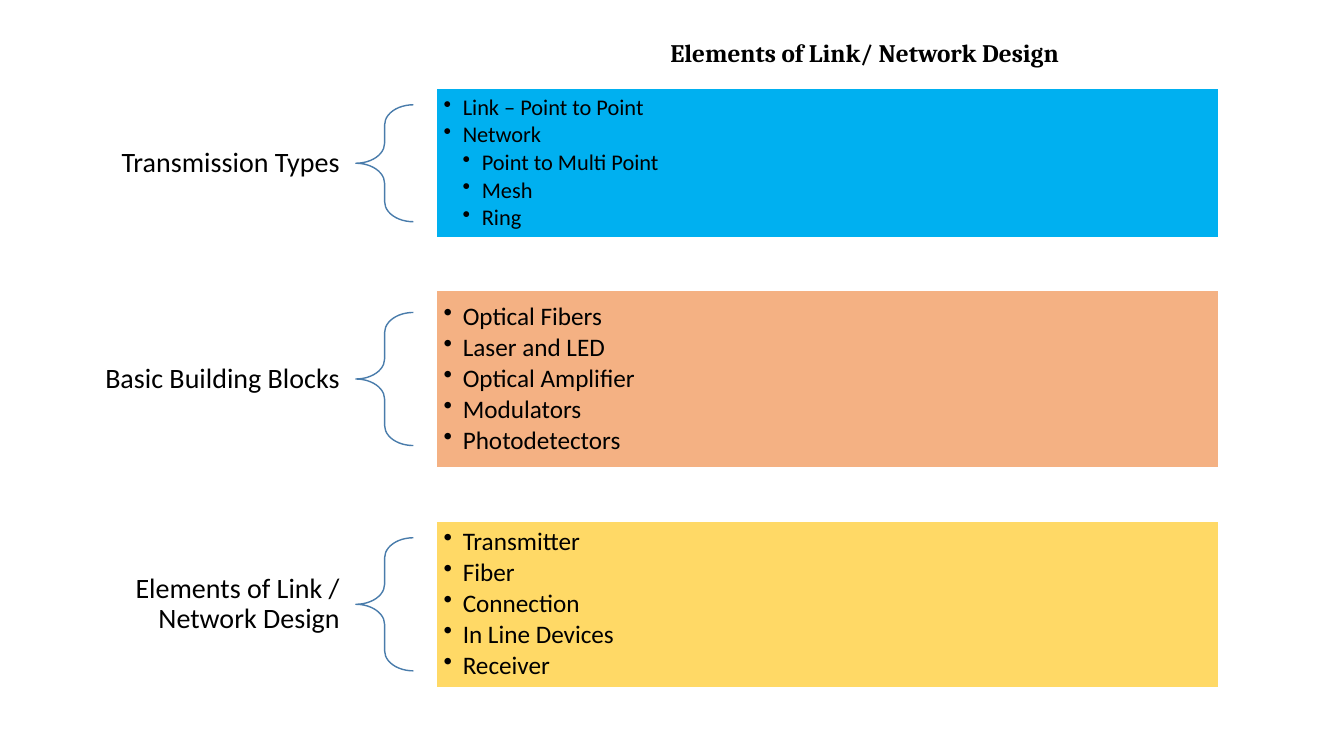
from lxml.etree import SubElement
from pptx import Presentation
from pptx.dml.color import RGBColor
from pptx.enum.shapes import MSO_SHAPE as Shape
from pptx.enum.text import MSO_ANCHOR as Anchor, MSO_AUTO_SIZE as AutoSize, PP_ALIGN as Align
from pptx.oxml.ns import qn
from pptx.util import Inches, Pt

COLORS = {
    "text": "000000", "brace": "497CAB", "edge": "FFFFFF",
    "blue": "00B0F0", "orange": "F4B183", "yellow": "FFD966",
}
LABEL_LEFT, LABEL_WIDTH = 0.68, 2.85
BRACE_WIDTH, GAP = 0.57, 0.23
PANEL_WIDTH = 7.76
INDENT = 0.19

# Each section: its vertical box, part heights, label and (level, item) list
SECTIONS = [
    {"top": 0.88, "height": 1.48, "label_height": 0.32, "brace_height": 1.16,
     "fill": "blue", "size": 16, "label": "Transmission Types",
     "items": [(1, "Link – Point to Point"), (1, "Network"),
               (2, "Point to Multi Point"), (2, "Mesh"), (2, "Ring")]},
    {"top": 2.88, "height": 1.76, "label_height": 2.79, "brace_height": 1.32,
     "fill": "orange", "size": 18, "label": "Basic Building Blocks",
     "items": [(1, "Optical Fibers"), (1, "Laser and LED"), (1, "Optical Amplifier"),
               (1, "Modulators"), (1, "Photodetectors")]},
    {"top": 5.17, "height": 1.65, "label_height": 1.33, "brace_height": 1.32,
     "fill": "yellow", "size": 18, "label": "Elements of Link / Network Design",
     "items": [(1, "Transmitter"), (1, "Fiber"), (1, "Connection"),
               (1, "In Line Devices"), (1, "Receiver")]},
]


def color(name):
    return RGBColor.from_string(COLORS[name])


def set_all(target, values):
    for name, value in values.items():
        setattr(target, name, value)


def set_frame(frame, inset_x, inset_y):
    set_all(frame, {
        "word_wrap": True, "vertical_anchor": Anchor.MIDDLE,
        "margin_left": Inches(inset_x), "margin_right": Inches(inset_x),
        "margin_top": Inches(inset_y), "margin_bottom": Inches(inset_y),
    })


def write(para, text, size, font="Calibri", bold=False):
    span = para.add_run()
    span.text = text
    set_all(span.font, {"name": font, "size": Pt(size), "bold": bold})
    span.font.color.rgb = color("text")


def space_para(para, percent_after, align):
    after = SubElement(para._p.get_or_add_pPr(), qn("a:spcAft"))
    SubElement(after, qn("a:spcPct"), val=str(percent_after * 1000))
    set_all(para, {"line_spacing": 0.9, "alignment": align})


def add_bullet(para, level):
    props = para._p.get_or_add_pPr()
    props.set("marL", str(Inches(INDENT * level)))
    props.set("indent", str(-Inches(INDENT)))
    SubElement(props, qn("a:buChar"), char="•")
    para.level = level


def add_plain_shape(page, kind, left, top, width, height, line):
    shape = page.shapes.add_shape(
        kind, Inches(left), Inches(top), Inches(width), Inches(height))
    shape.shadow.inherit = False
    shape.line.color.rgb = color(line)
    shape.line.width = Pt(1)
    return shape


def add_title(page, left, top, width, height):
    box = page.shapes.add_textbox(
        Inches(left), Inches(top), Inches(width), Inches(height))
    set_all(box.text_frame, {"word_wrap": False, "auto_size": AutoSize.SHAPE_TO_FIT_TEXT})
    write(box.text_frame.paragraphs[0], "Elements of Link/ Network Design", 18, "Cambria", True)


def add_section(page, section):
    middle = section["top"] + section["height"] / 2

    # Label
    height = section["label_height"]
    label = page.shapes.add_textbox(
        Inches(LABEL_LEFT), Inches(middle - height / 2), Inches(LABEL_WIDTH), Inches(height))
    set_frame(label.text_frame, 0.16, 0.06)
    para = label.text_frame.paragraphs[0]
    space_para(para, 35, Align.RIGHT)
    write(para, section["label"], 20)

    # Brace
    brace_left = LABEL_LEFT + LABEL_WIDTH
    height = section["brace_height"]
    brace = add_plain_shape(page, Shape.LEFT_BRACE, brace_left, middle - height / 2,
                            BRACE_WIDTH, height, "brace")
    brace.fill.background()
    brace.adjustments[0] = 0.35

    # Panel with bullets
    panel = add_plain_shape(page, Shape.RECTANGLE, brace_left + BRACE_WIDTH + GAP,
                            section["top"], PANEL_WIDTH, section["height"], "edge")
    panel.fill.solid()
    panel.fill.fore_color.rgb = color(section["fill"])
    frame = panel.text_frame
    set_frame(frame, 0.07, 0.07)
    for index, (level, item) in enumerate(section["items"]):
        para = frame.add_paragraph() if index else frame.paragraphs[0]
        space_para(para, 15, Align.LEFT)
        add_bullet(para, level)
        write(para, item, section["size"])


def main():
    deck = Presentation()
    deck.slide_width, deck.slide_height = Inches(13.33), Inches(7.5)
    page = deck.slides.add_slide(deck.slide_layouts[6])
    add_title(page, 6.55, 0.32, 4.27, 0.4)
    for section in SECTIONS:
        add_section(page, section)
    deck.save("out.pptx")


if __name__ == "__main__":
    main()
